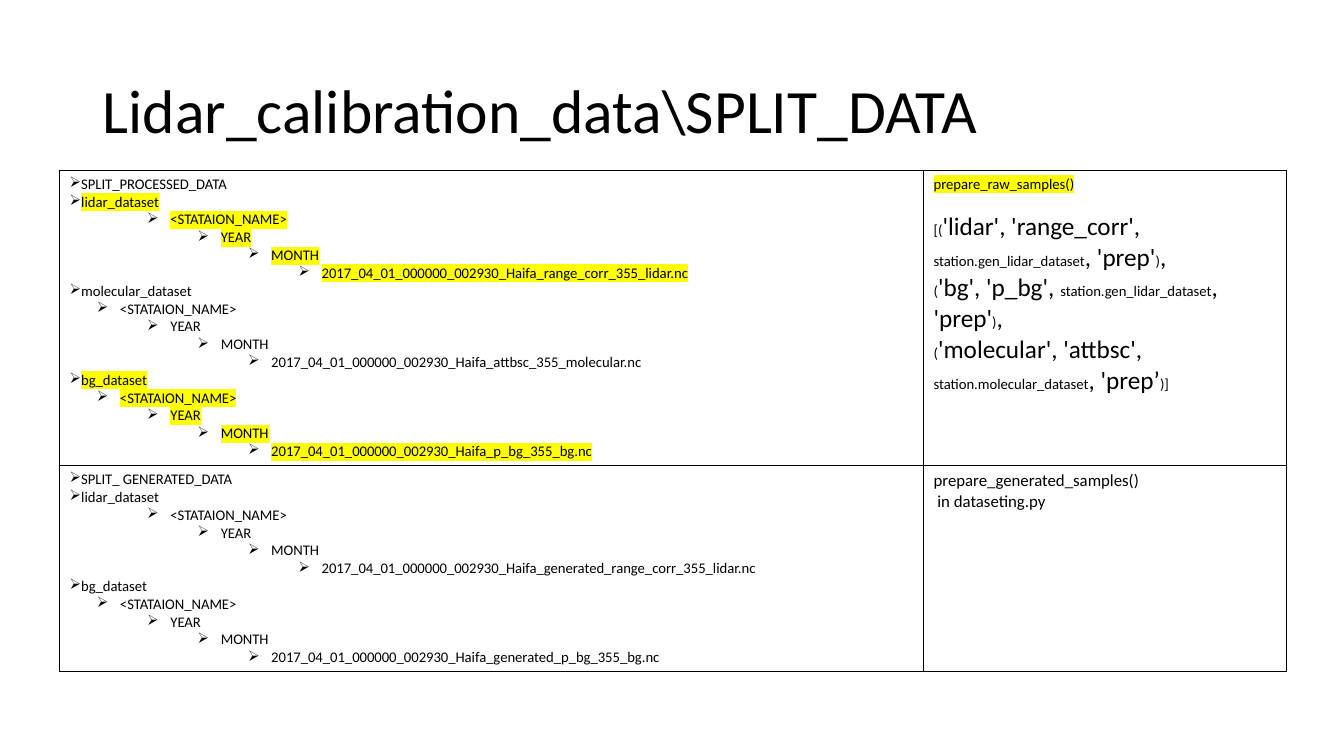
from lxml.etree import SubElement
from pptx import Presentation
from pptx.dml.color import RGBColor
from pptx.enum.text import MSO_ANCHOR, MSO_AUTO_SIZE, PP_ALIGN
from pptx.oxml.ns import qn
from pptx.util import Pt

PX = 9144  # EMU per px, 100 px to the inch
BLACK = RGBColor(0x00, 0x00, 0x00)
YELLOW = RGBColor(0xFF, 0xFF, 0x00)
SMALL, LARGE = Pt(10.5), Pt(18)
LEVEL_STEP = 50 * PX
BULLET_HANG = 23 * PX

# heading, then (dataset, level of its first folder, file, highlighted)
SECTIONS = [
    ("SPLIT_PROCESSED_DATA", [
        ("lidar_dataset", 2, "2017_04_01_000000_002930_Haifa_range_corr_355_lidar.nc", True),
        ("molecular_dataset", 1, "2017_04_01_000000_002930_Haifa_attbsc_355_molecular.nc", False),
        ("bg_dataset", 1, "2017_04_01_000000_002930_Haifa_p_bg_355_bg.nc", True),
    ]),
    ("SPLIT_ GENERATED_DATA", [
        ("lidar_dataset", 2, "2017_04_01_000000_002930_Haifa_generated_range_corr_355_lidar.nc", False),
        ("bg_dataset", 1, "2017_04_01_000000_002930_Haifa_generated_p_bg_355_bg.nc", False),
    ]),
]
# small and large runs take turns
SAMPLE_RUNS = [
    "[(", "'lidar', 'range_corr', ", "station.gen_lidar_dataset", ", 'prep'", ")", ",\n",
    "(", "'bg', 'p_bg', ", "station.gen_lidar_dataset", ", 'prep'", ")", ",\n",
    "(", "'molecular', 'attbsc', ", "station.molecular_dataset", ", 'prep’", ")]",
]


def add_line(frame, text, size, highlighted=False):
    """Write text in the frame's first paragraph if unused, else in a new one."""
    line = frame.paragraphs[0]
    if line.runs:
        line = frame.add_paragraph()
    line.font.size = size
    line.font.name = "Calibri"
    line.font.color.rgb = BLACK
    run = line.add_run()
    run.text = text
    if highlighted:
        highlight = SubElement(run._r.get_or_add_rPr(), qn("a:highlight"))
        SubElement(highlight, qn("a:srgbClr"), val=str(YELLOW))
    return line


def add_entry(frame, level, text, highlighted=False):
    """Add one arrow-bulleted entry of the folder tree."""
    entry = add_line(frame, text, SMALL, highlighted)
    entry.level = level
    properties = entry._p.get_or_add_pPr()
    properties.set("marL", str(level * LEVEL_STEP))
    properties.set("indent", str(-BULLET_HANG if level else 0))
    bullet = properties.makeelement(qn("a:buChar"), {"char": "➢"})
    properties.find(qn("a:defRPr")).addprevious(bullet)


prs = Presentation()
prs.slide_width, prs.slide_height = 1333 * PX, 750 * PX
slide = prs.slides.add_slide(prs.slide_layouts[5])

title = slide.shapes.title
title.left, title.top, title.width, title.height = 92 * PX, 40 * PX, 1150 * PX, 145 * PX
title.text_frame.auto_size = MSO_AUTO_SIZE.NONE
title.text_frame.vertical_anchor = MSO_ANCHOR.MIDDLE
heading = add_line(title.text_frame, "Lidar_calibration_data\\SPLIT_DATA", Pt(44))
heading.alignment = PP_ALIGN.LEFT
heading.line_spacing = 0.9

table = slide.shapes.add_table(2, 2, 59 * PX, 169 * PX, 1217 * PX, 496 * PX).table
table.first_row = table.horz_banding = False
table.columns[0].width, table.columns[1].width = 857 * PX, 360 * PX
table.rows[0].height, table.rows[1].height = 292 * PX, 204 * PX
for cell in table.iter_cells():
    cell_properties = cell._tc.get_or_add_tcPr()
    for side in ("a:lnL", "a:lnR", "a:lnT", "a:lnB"):
        border = SubElement(cell_properties, qn(side), w=str(Pt(1)))
        border_fill = SubElement(border, qn("a:solidFill"))
        SubElement(border_fill, qn("a:srgbClr"), val=str(BLACK))
    cell.fill.background()

for row, (section, datasets) in enumerate(SECTIONS):
    tree = table.cell(row, 0).text_frame
    add_entry(tree, 0, section)
    for dataset, first_level, data_file, highlighted in datasets:
        add_entry(tree, 0, dataset, highlighted)
        for level, name in enumerate(("<STATAION_NAME>", "YEAR", "MONTH", data_file), first_level):
            add_entry(tree, level, name, highlighted)

raw_samples = table.cell(0, 1).text_frame
add_line(raw_samples, "prepare_raw_samples()", SMALL, True)
sample_list = add_line(raw_samples, SAMPLE_RUNS[0], SMALL)
sample_list.space_before = Pt(13)
for index, text in enumerate(SAMPLE_RUNS[1:], 1):
    run = sample_list.add_run()
    run.text = text.rstrip("\n")
    run.font.size = LARGE if index % 2 else SMALL
    if text.endswith("\n"):
        sample_list.add_line_break()

generated_samples = table.cell(1, 1).text_frame
for text in ("prepare_generated_samples()", " in dataseting.py"):
    add_line(generated_samples, text, Pt(12))

prs.save("out.pptx")
